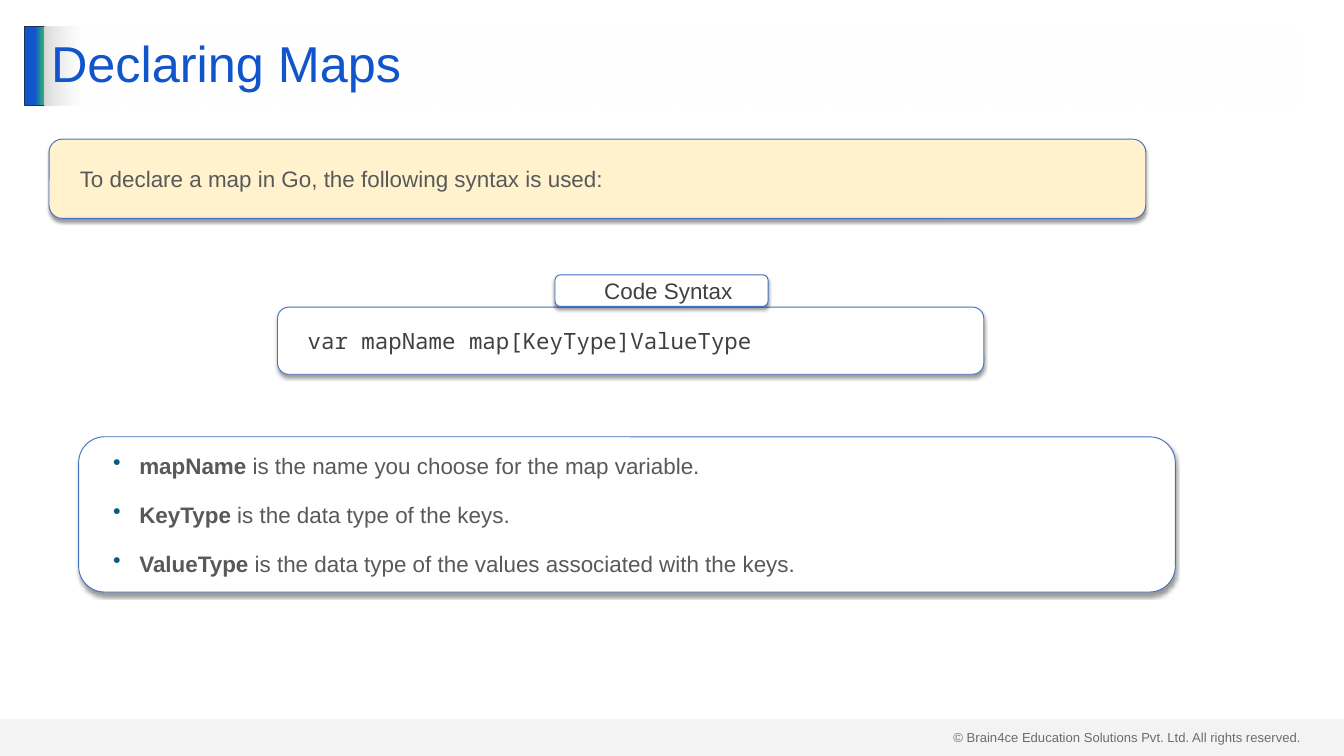
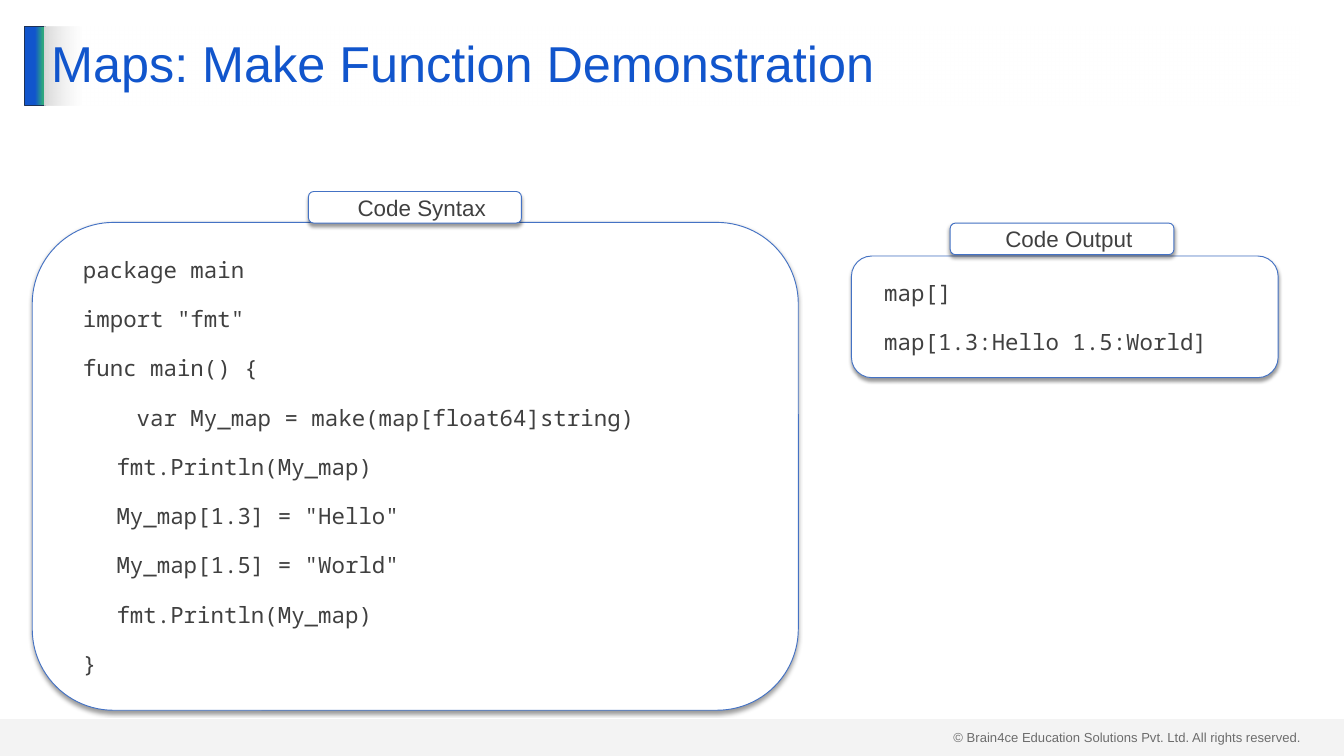
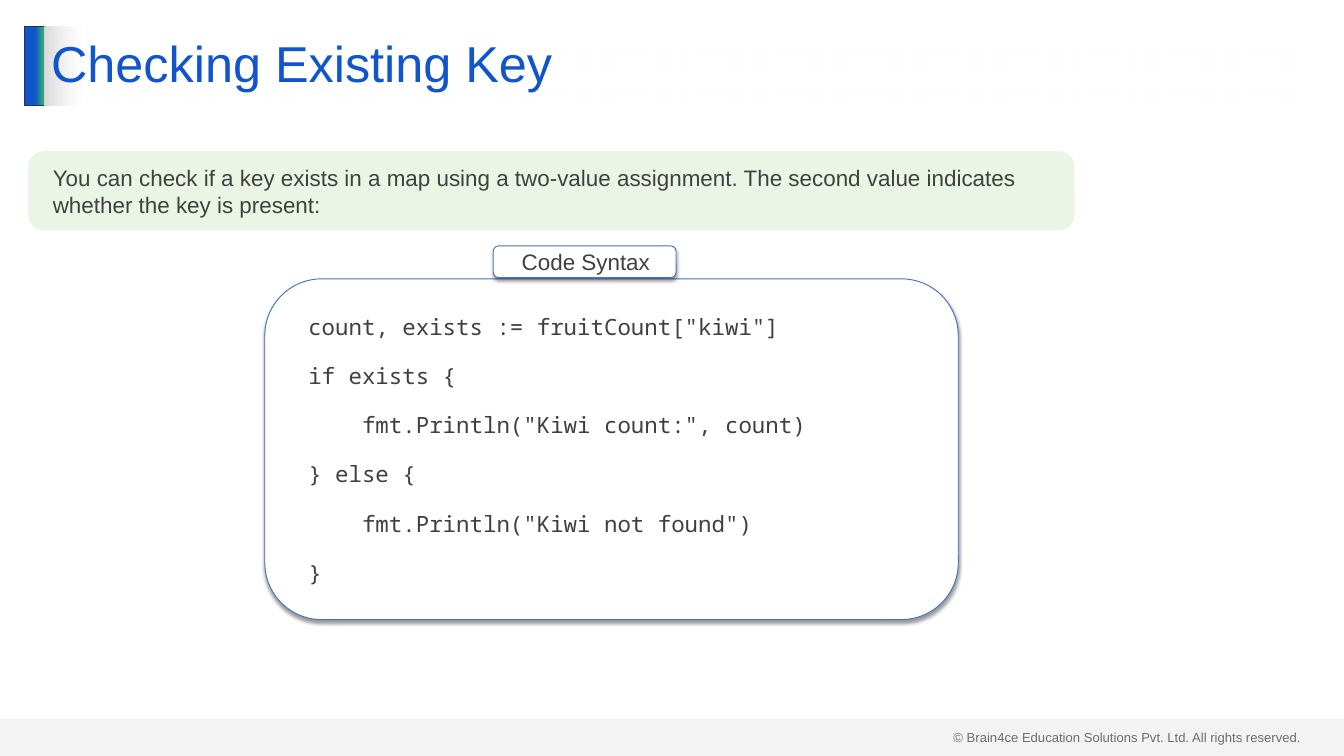
from dataclasses import dataclass

from lxml.etree import SubElement
from pptx import Presentation
from pptx.dml.color import RGBColor
from pptx.enum.shapes import MSO_SHAPE
from pptx.enum.text import MSO_ANCHOR, MSO_AUTO_SIZE, PP_ALIGN
from pptx.oxml.ns import qn
from pptx.util import Inches, Pt


@dataclass(frozen=True)
class Theme:
    blue: str = "1155CC"
    green: str = "2EA87D"
    navy: str = "1E3256"
    edge: str = "4472C4"
    bullet: str = "095A82"
    dark: str = "404040"
    gray: str = "595959"
    silver: str = "D9D9D9"
    white: str = "FFFFFF"
    cream: str = "FFF2CC"
    mint: str = "E2F0D9"
    sans: str = "Arial"
    mono: str = "Noto Sans Mono"
    title: int = 54
    body: int = 24
    small: int = 14


THEME = Theme()
ROOMY = (0.2, 0.1)
SNUG = (0.1, 0.05)
INDENT = 0.2
TAB = 0.5
HANG = 0.39
TAG_HEIGHT = 0.47


def add_color(parent, color, alpha=100):
    node = SubElement(parent, qn("a:srgbClr"), val=color)
    if alpha < 100:
        SubElement(node, qn("a:alpha"), val=str(alpha * 1000))
    return node


def fill_solid(shape, color, alpha=100):
    shape.fill.solid()
    shape.fill.fore_color.rgb = RGBColor.from_string(color)
    if alpha < 100:
        node = shape.element.spPr.find(f".//{qn('a:srgbClr')}")
        SubElement(node, qn("a:alpha"), val=str(alpha * 1000))


def fill_fade(shape, *stops):
    """Fill from left to right; each stop is (percent, color[, alpha])."""
    shape.fill.gradient()
    shape.fill.gradient_angle = 0
    track = shape.element.spPr.find(f".//{qn('a:gsLst')}")
    for old in list(track):
        track.remove(old)
    for place, *color in stops:
        add_color(SubElement(track, qn("a:gs"), pos=str(place * 1000)), *color)


def set_line(shape, color):
    if color is None:
        shape.line.fill.background()
        return
    shape.line.color.rgb = RGBColor.from_string(color)
    shape.line.width = Pt(1)


def drop_shadow(shape):
    effects = shape.element.spPr.find(qn("a:effectLst"))
    outer = SubElement(effects, qn("a:outerShdw"), blurRad=str(Pt(4)), dist=str(Pt(3)),
                       dir="5400000", algn="t", rotWithShape="0")
    add_color(outer, "000000", 40)


def add_box(slide, place, kind=MSO_SHAPE.RECTANGLE, line=None):
    shape = slide.shapes.add_shape(kind, *map(Inches, place))
    shape.shadow.inherit = False
    set_line(shape, line)
    return shape


def set_indent(para, left, hang=0):
    props = para._p.get_or_add_pPr()
    props.set("marL", str(Inches(left)))
    props.set("indent", str(Inches(-hang)))
    if hang:
        add_color(SubElement(props, qn("a:buClr")), THEME.bullet)
        SubElement(props, qn("a:buChar"), char="•")


def write(shape, *lines, size=THEME.body, font=THEME.sans, color=THEME.dark,
          align=PP_ALIGN.LEFT, inset=SNUG, indent=0, hang=0, gap=0, spacing=None):
    """Write one paragraph per line; a (lead, rest) line has a bold lead."""
    frame = shape.text_frame
    frame.word_wrap = True
    frame.auto_size = MSO_AUTO_SIZE.NONE
    frame.vertical_anchor = MSO_ANCHOR.MIDDLE
    frame.margin_left = frame.margin_right = Inches(inset[0])
    frame.margin_top = frame.margin_bottom = Inches(inset[1])
    for index, line in enumerate(lines):
        para = frame.add_paragraph() if index else frame.paragraphs[0]
        parts = (line,) if isinstance(line, str) else line
        tabs = len(parts[0]) - len(parts[0].lstrip("\t"))
        set_indent(para, indent + tabs * TAB + hang, hang)
        para.alignment = align
        para.space_before = Pt(gap if index else 0)
        para.space_after = Pt(gap)
        if spacing:
            para.line_spacing = spacing
        for part in parts:
            run = para.add_run()
            run.text = part.lstrip("\t")
            run.font.size = Pt(size)
            run.font.name = font
            run.font.bold = len(parts) > 1 and part is parts[0]
            run.font.color.rgb = RGBColor.from_string(color)


def add_card(slide, place, *lines, fill=THEME.white, **style):
    card = add_box(slide, place, MSO_SHAPE.ROUNDED_RECTANGLE, THEME.edge)
    fill_solid(card, fill)
    drop_shadow(card)
    write(card, *lines, inset=ROOMY, indent=INDENT, gap=12, **style)


def add_code(slide, place, *lines):
    add_card(slide, place, *lines, font=THEME.mono)


def add_tag(slide, left, top, width, text, align=PP_ALIGN.CENTER):
    add_card(slide, (left, top, width, TAG_HEIGHT), text, align=align)


def add_note(slide, place, text):
    note = add_box(slide, place, MSO_SHAPE.ROUNDED_RECTANGLE)
    note.adjustments[0] = 0.195
    fill_solid(note, THEME.mint, 66)
    write(note, text, indent=INDENT, gap=12)


def add_frame(slide):
    """Build the footer and accent bar, then hand them to the slide's layout."""
    legal = slide.shapes.add_textbox(*map(Inches, (14.09, 10.8, 5.41, 0.34)))
    write(legal, "© Brain4ce Education Solutions Pvt. Ltd. All rights reserved.",
          size=THEME.small)
    accent = add_box(slide, (0.37, 0.39, 0.3, 1.18), line=THEME.navy)
    fill_fade(accent, (51, THEME.blue), (90, THEME.green), (100, THEME.green))
    band = add_box(slide, (0, 10.7, 20, 0.55))
    fill_solid(band, THEME.silver, 29)
    for part in (legal, accent, band):
        slide.slide_layout.shapes.element.append(part.element)


def add_slide(deck, text):
    slide = deck.slides.add_slide(deck.slide_layouts.get_by_name("Title Only"))
    title = slide.shapes.title
    title.left, title.top, title.width, title.height = map(Inches, (0.66, 0.39, 18.67, 1.18))
    fill_fade(title, (0, THEME.silver), (3, THEME.white, 50), (100, THEME.white, 50))
    write(title, text, size=THEME.title, color=THEME.blue, spacing=0.9)
    return slide


def show_syntax(slide):
    add_code(slide, (4.13, 4.57, 10.51, 1), "var mapName map[KeyType]ValueType")
    add_tag(slide, 8.26, 4.09, 3.17, "Code Syntax")
    add_card(slide, (0.73, 2.07, 16.32, 1.18),
             "To declare a map in Go, the following syntax is used:",
             fill=THEME.cream, color=THEME.gray)
    add_card(slide, (1.17, 6.5, 16.32, 2.31),
             ("mapName", " is the name you choose for the map variable."),
             ("KeyType", " is the data type of the keys."),
             ("ValueType", " is the data type of the values associated with the keys."),
             color=THEME.gray, hang=HANG)


def show_make(slide):
    add_code(slide, (0.48, 3.31, 11.4, 7.26),
             "package main",
             'import "fmt"',
             "func main() {",
             "    var My_map = make(map[float64]string)",
             "\tfmt.Println(My_map)",
             '\tMy_map[1.3] = "Hello"',
             '\tMy_map[1.5] = "World"',
             "\tfmt.Println(My_map)",
             "}")
    add_code(slide, (12.67, 3.81, 6.35, 1.81), "map[]", "map[1.3:Hello 1.5:World]")
    add_tag(slide, 4.59, 2.85, 3.17, "Code Syntax")
    add_tag(slide, 14.14, 3.32, 3.33, "Code Output")


def show_check(slide):
    add_note(slide, (0.42, 2.25, 15.57, 1.18),
             "You can check if a key exists in a map using a two-value assignment. "
             "The second value indicates whether the key is present:")
    add_code(slide, (3.94, 4.15, 10.32, 5.07),
             'count, exists := fruitCount["kiwi"]',
             "if exists {",
             '    fmt.Println("Kiwi count:", count)',
             "} else {",
             '    fmt.Println("Kiwi not found")',
             "}")
    add_tag(slide, 7.34, 3.66, 2.72, "Code Syntax", align=PP_ALIGN.LEFT)


def main():
    deck = Presentation()
    deck.slide_width, deck.slide_height = Inches(20), Inches(11.25)
    first = add_slide(deck, "Declaring Maps")
    add_frame(first)
    show_syntax(first)
    show_make(add_slide(deck, "Maps: Make Function Demonstration"))
    show_check(add_slide(deck, "Checking Existing Key"))
    deck.save("out.pptx")


if __name__ == "__main__":
    main()
